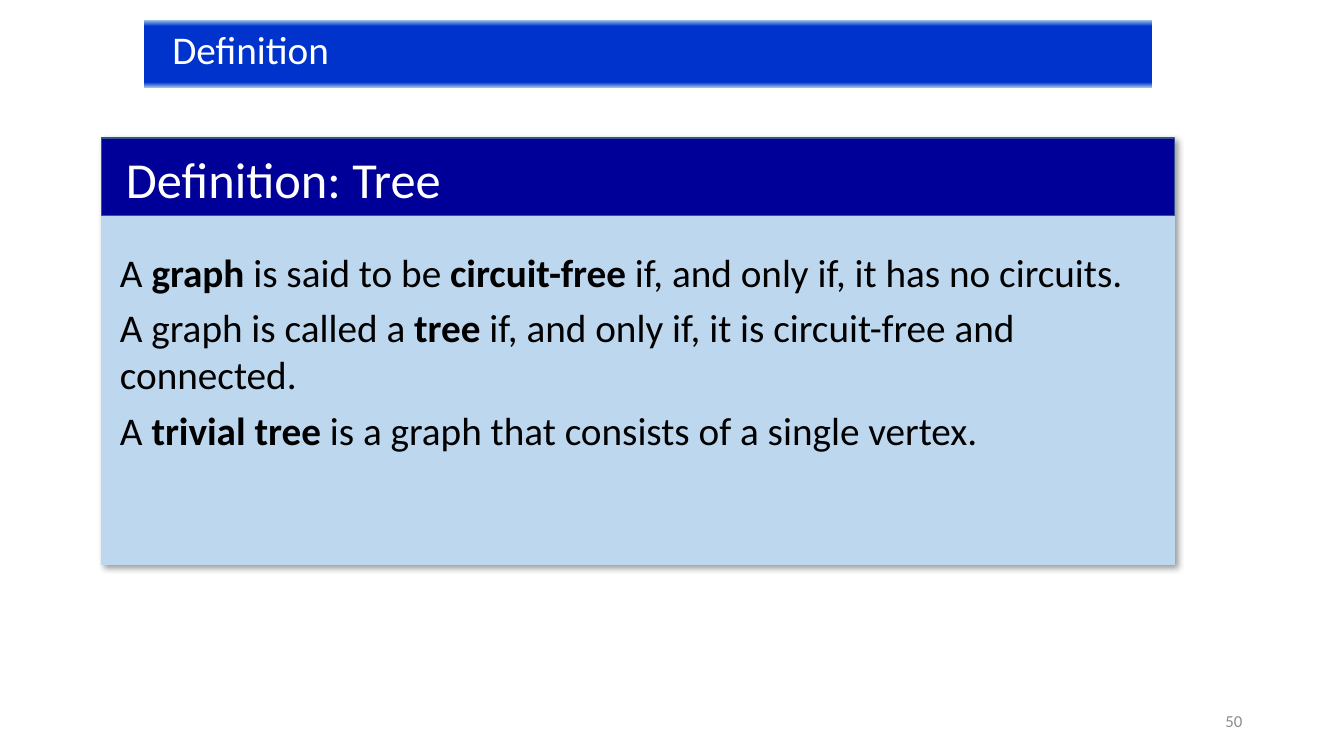
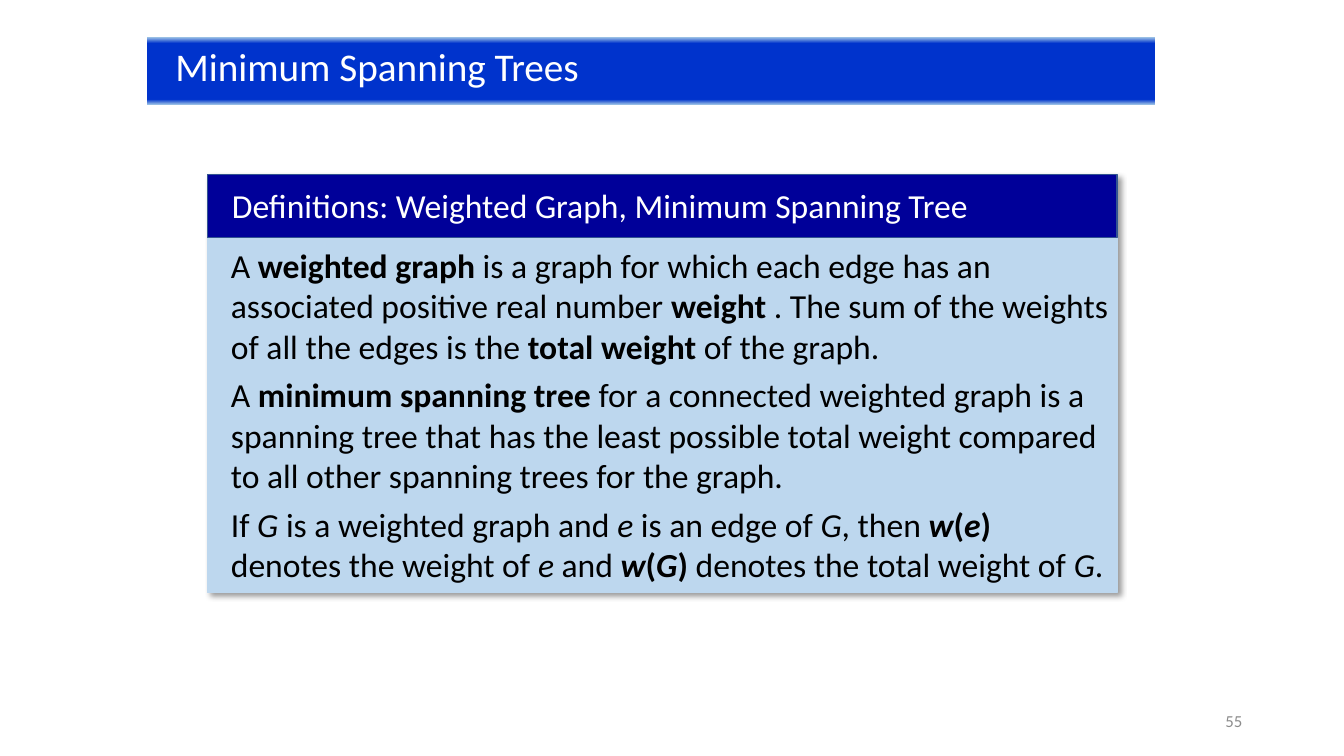
from dataclasses import dataclass

from lxml.etree import SubElement
from pptx import Presentation
from pptx.dml.color import RGBColor
from pptx.enum.shapes import MSO_SHAPE
from pptx.enum.text import MSO_ANCHOR, MSO_AUTO_SIZE, PP_ALIGN
from pptx.oxml.ns import qn
from pptx.util import Inches, Pt

FONT = "Calibri"
COLORS = {
    "bar": "0033CC",
    "bar_edge": "9DC3E6",
    "panel": "BDD7EE",
    "heading": "000099",
    "heading_line": "325491",
    "white": "FFFFFF",
    "black": "000000",
    "number": "8C8C8C",
}
BAR_STOPS = ((0, "bar_edge"), (9, "bar"), (92, "bar"), (100, "bar_edge"))


@dataclass(frozen=True)
class Box:
    left: float
    top: float
    width: float
    height: float

    def emu(self) -> tuple:
        return tuple(Inches(v) for v in (self.left, self.top, self.width, self.height))


@dataclass(frozen=True)
class DefinitionSlide:
    title: str
    bar: Box
    panel: Box
    heading: str
    heading_height: float
    heading_size: int
    body: Box
    body_size: int
    definitions: tuple
    number: int


SLIDES = (
    DefinitionSlide(
        title="Definition",
        bar=Box(1.43, 0.2, 10, 0.67),
        panel=Box(1.01, 1.37, 10.64, 4.23),
        heading="Definition: Tree",
        heading_height=0.77,
        heading_size=36,
        body=Box(1.09, 2.41, 10.49, 2.15),
        body_size=28,
        definitions=(
            "A *graph* is said to be *circuit-free* if, and only if, it has no circuits.",
            "A graph is called a *tree* if, and only if, it is circuit-free and connected.",
            "A *trivial tree* is a graph that consists of a single vertex.",
        ),
        number=50,
    ),
    DefinitionSlide(
        title="Minimum Spanning Trees",
        bar=Box(1.46, 0.37, 10, 0.67),
        panel=Box(2.06, 1.73, 9.02, 4.15),
        heading="Definitions: Weighted Graph, Minimum Spanning Tree",
        heading_height=0.63,
        heading_size=24,
        body=Box(2.19, 2.38, 8.9, 3.5),
        body_size=24,
        definitions=(
            "A *weighted graph *is a graph for which each edge has an associated "
            "positive real number *weight *. The sum of the weights of all the edges "
            "is the *total weight* of the graph.",
            "A *minimum spanning tree *for a connected weighted graph is a spanning "
            "tree that has the least possible total weight compared to all other "
            "spanning trees for the graph.",
            "If _G_ is a weighted graph and _e_ is an edge of _G_, then *_w_(_e_)* "
            "denotes the weight of _e_ and *_w_(_G_)* denotes the total weight of _G_.",
        ),
        number=55,
    ),
)


def rgb(name: str) -> RGBColor:
    return RGBColor.from_string(COLORS[name])


def place(sp, box: Box) -> None:
    sp.left, sp.top, sp.width, sp.height = box.emu()


def write(sp, *texts, size=24, color="black", align=PP_ALIGN.LEFT,
          anchor=MSO_ANCHOR.TOP, after=0, left=0.1, top=0.05) -> None:
    """Set paragraphs in which *...* is bold and _..._ is italic."""
    tf = sp.text_frame
    tf.word_wrap = True
    tf.auto_size = MSO_AUTO_SIZE.NONE
    tf.vertical_anchor = anchor
    tf.margin_left, tf.margin_top = Inches(left), Inches(top)
    for k, text in enumerate(texts):
        p = tf.add_paragraph() if k else tf.paragraphs[0]
        pPr = p._p.get_or_add_pPr()
        pPr.set("marL", "0")
        pPr.set("indent", "0")
        SubElement(pPr, qn("a:buNone"))
        p.alignment = align
        p.space_before, p.space_after = Pt(0), Pt(after)
        for i, chunk in enumerate(text.split("*")):
            for j, part in enumerate(chunk.split("_")):
                if part:
                    r = p.add_run()
                    r.text = part
                    r.font.name, r.font.size = FONT, Pt(size)
                    r.font.color.rgb = rgb(color)
                    r.font.bold, r.font.italic = i % 2 == 1, j % 2 == 1


def add_rect(s, box: Box, fill: str, line: str):
    sp = s.shapes.add_shape(MSO_SHAPE.RECTANGLE, *box.emu())
    sp.fill.solid()
    sp.fill.fore_color.rgb = rgb(fill)
    sp.line.color.rgb = rgb(line)
    sp.line.width = Pt(1)
    sp.shadow.inherit = False
    return sp


def add_shadow(sp) -> None:
    effects = sp.element.spPr.find(qn("a:effectLst"))
    shadow = SubElement(effects, qn("a:outerShdw"), blurRad=str(Pt(4)),
                        dist=str(Pt(3)), dir="2700000", algn="tl", rotWithShape="0")
    color = SubElement(shadow, qn("a:srgbClr"), val=COLORS["black"])
    SubElement(color, qn("a:alpha"), val="40000")


def fill_bar(sp) -> None:
    sp.fill.gradient()
    sp.fill.gradient_angle = 270
    stops = sp.element.spPr.find(qn("a:gradFill")).find(qn("a:gsLst"))
    for stop in list(stops):
        stops.remove(stop)
    for percent, name in BAR_STOPS:
        stop = SubElement(stops, qn("a:gs"), pos=str(percent * 1000))
        SubElement(stop, qn("a:srgbClr"), val=COLORS[name])


def add_definition_slide(prs, d: DefinitionSlide) -> None:
    s = prs.slides.add_slide(prs.slide_layouts[1])
    title, body = s.shapes.title, s.placeholders[1]

    place(title, d.bar)
    fill_bar(title)
    write(title, d.title, size=28, color="white", left=0.28)

    add_shadow(add_rect(s, d.panel, "panel", "panel"))
    band = Box(d.panel.left, d.panel.top, d.panel.width, d.heading_height)
    heading = add_rect(s, band, "heading", "heading_line")
    write(heading, d.heading, size=d.heading_size, color="white", left=0.24, top=0.1)

    s.shapes.element.append(body.element)
    place(body, d.body)
    write(body, *d.definitions, size=d.body_size, after=6)

    number = s.shapes.add_textbox(*Box(9.42, 6.95, 3, 0.4).emu())
    write(number, str(d.number), size=12, color="number",
          align=PP_ALIGN.RIGHT, anchor=MSO_ANCHOR.MIDDLE)


def main() -> None:
    prs = Presentation()
    prs.slide_width, prs.slide_height = Inches(13.33), Inches(7.5)
    for d in SLIDES:
        add_definition_slide(prs, d)
    prs.save("out.pptx")


if __name__ == "__main__":
    main()
